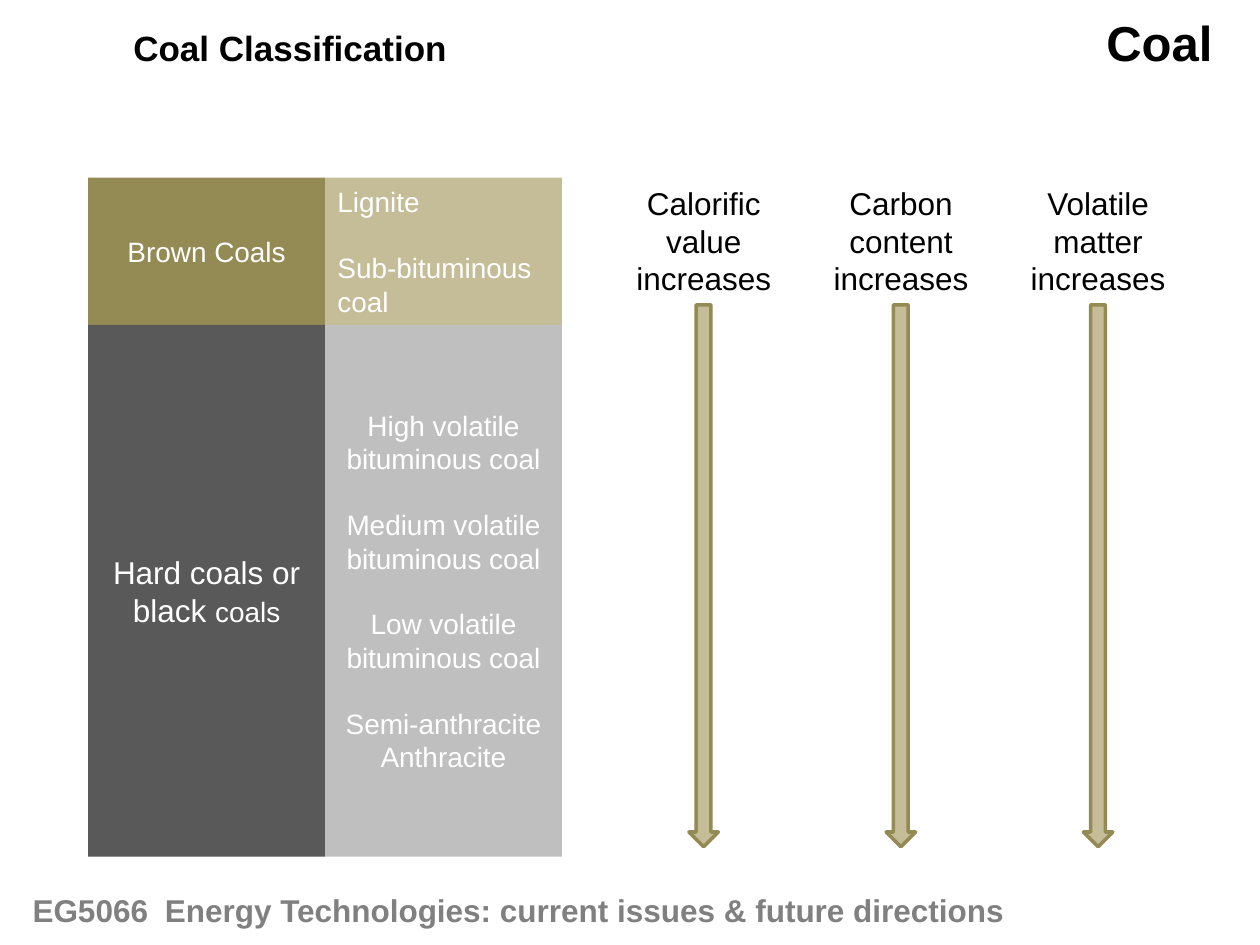
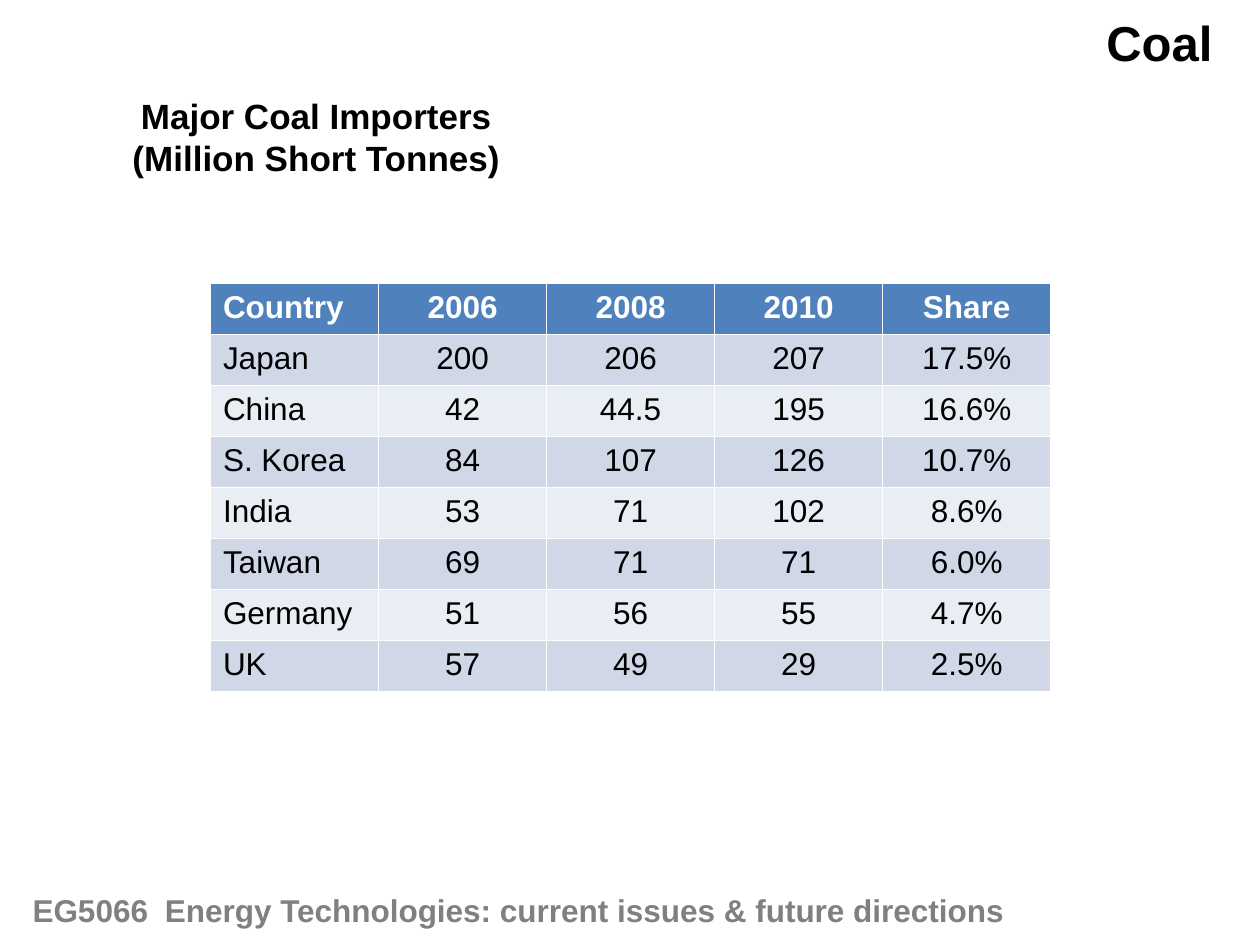
from dataclasses import dataclass

from lxml import etree
from pptx import Presentation
from pptx.dml.color import RGBColor
from pptx.enum.shapes import MSO_SHAPE
from pptx.enum.text import MSO_ANCHOR, PP_ALIGN
from pptx.oxml.ns import qn
from pptx.util import Inches, Pt

LEFT, CENTER, RIGHT = PP_ALIGN.LEFT, PP_ALIGN.CENTER, PP_ALIGN.RIGHT
TOP, MIDDLE = MSO_ANCHOR.TOP, MSO_ANCHOR.MIDDLE
RECTANGLE, DOWN_ARROW = MSO_SHAPE.RECTANGLE, MSO_SHAPE.DOWN_ARROW


@dataclass(frozen=True)
class Theme:
    font: str = "Arial"
    black: str = "000000"
    white: str = "FFFFFF"
    footer_gray: str = "808080"
    brown: str = "948A54"
    tan: str = "C4BD97"
    charcoal: str = "595959"
    silver: str = "BFBFBF"
    header_blue: str = "4F81BD"
    bands: tuple = ("D0D8E8", "E9EDF4")
    topic_size: int = 28
    title_size: int = 20
    body_size: int = 18
    grade_size: int = 16
    grade_gap: float = 18.4
    outline: int = 2


THEME = Theme()


@dataclass(frozen=True)
class Box:
    left: float
    top: float
    width: float
    height: float

    def share(self, left, top, width, height):
        return Box(self.left + self.width * left / 100,
                   self.top + self.height * top / 100,
                   self.width * width / 100,
                   self.height * height / 100)

    def emu(self):
        return [Inches(side) for side in (self.left, self.top, self.width, self.height)]


PAGE = Box(0, 0, 10, 7.5)

FOOTER = "EG5066\tEnergy Technologies: current issues & future directions"
TRENDS = ["Calorific value increases", "Carbon content increases", "Volatile matter increases"]
BROWN_GRADES = ["Lignite", "Sub-bituminous coal"]
HARD_GRADES = ["High volatile bituminous coal", "Medium volatile bituminous coal",
               "Low volatile bituminous coal", "Semi-anthracite\vAnthracite"]
IMPORTERS = [
    ("Country", "2006", "2008", "2010", "Share"),
    ("Japan", "200", "206", "207", "17.5%"),
    ("China", "42", "44.5", "195", "16.6%"),
    ("S. Korea", "84", "107", "126", "10.7%"),
    ("India", "53", "71", "102", "8.6%"),
    ("Taiwan", "69", "71", "71", "6.0%"),
    ("Germany", "51", "56", "55", "4.7%"),
    ("UK", "57", "49", "29", "2.5%"),
]


def style_paragraph(paragraph, size, color, align=LEFT, bold=False):
    paragraph.alignment = align
    font = paragraph.font
    font.name = THEME.font
    font.size = Pt(size)
    font.bold = bold
    font.color.rgb = RGBColor.from_string(color)


def write(frame, lines, size, color, align=LEFT, bold=False, anchor=TOP, gap=0):
    frame.word_wrap = True
    frame.vertical_anchor = anchor
    for index, line in enumerate(lines):
        paragraph = frame.add_paragraph() if index else frame.paragraphs[0]
        paragraph.text = line
        if index and gap:
            paragraph.space_before = Pt(gap)
        style_paragraph(paragraph, size, color, align, bold)


def add_text(shapes, box, lines, size, color=THEME.black, align=LEFT, bold=False):
    frame = shapes.add_textbox(*box.emu()).text_frame
    write(frame, lines, size, color, align, bold)
    return frame


def add_filled(shapes, kind, box, fill, line=None):
    shape = shapes.add_shape(kind, *box.emu())
    shape.shadow.inherit = False
    shape.fill.solid()
    shape.fill.fore_color.rgb = RGBColor.from_string(fill)
    if line:
        shape.line.color.rgb = RGBColor.from_string(line)
        shape.line.width = Pt(THEME.outline)
    else:
        shape.line.fill.background()
    return shape


def add_footer(shapes, box):
    frame = shapes.add_textbox(*box.emu()).text_frame
    properties = frame.paragraphs[0]._p.get_or_add_pPr()
    stops = etree.SubElement(properties, qn("a:tabLst"))
    etree.SubElement(stops, qn("a:tab"), pos=str(Inches(1.05)), algn="l")
    write(frame, [FOOTER], THEME.body_size, THEME.footer_gray, bold=True)


def add_coal_slide(presentation, title_lines, title_box, title_align):
    slide = presentation.slides.add_slide(presentation.slide_layouts[6])
    add_text(slide.shapes, title_box, title_lines, THEME.title_size, align=title_align, bold=True)
    add_text(slide.shapes, PAGE.share(85, 0.67, 12.2, 7.6), ["Coal"],
             THEME.topic_size, align=RIGHT, bold=True)
    add_footer(slide.shapes, PAGE.share(1.6, 93.6, 85.9, 5.33))
    return slide


def add_classification(shapes, box):
    group = shapes.add_group_shape().shapes
    brown_share = 21.7
    rows = [(0, brown_share, THEME.brown, THEME.tan, ["Brown Coals"], BROWN_GRADES, LEFT),
            (brown_share, 100 - brown_share, THEME.charcoal, THEME.silver,
             ["Hard coals or black "], HARD_GRADES, CENTER)]
    for top, height, family_fill, grade_fill, family, grades, grade_align in rows:
        cells = [(0, family_fill, family, CENTER), (50, grade_fill, grades, grade_align)]
        for left, fill, lines, align in cells:
            shape = add_filled(group, RECTANGLE, box.share(left, top, 50, height), fill)
            write(shape.text_frame, lines, THEME.grade_size, THEME.white, align,
                  anchor=MIDDLE, gap=THEME.grade_gap)
            if lines[0].startswith("Hard"):
                paragraph = shape.text_frame.paragraphs[0]
                paragraph.runs[0].font.size = Pt(THEME.body_size)
                paragraph.add_run().text = "coals"


def add_trends(shapes, box):
    label_width, label_height = 27.2, 19
    pitch = (100 - label_width) / (len(TRENDS) - 1)
    for index, trend in enumerate(TRENDS):
        group = shapes.add_group_shape().shapes
        column = box.share(index * pitch, 0, label_width, 100)
        frame = add_text(group, column.share(0, 0, 100, label_height), [trend],
                         THEME.body_size, align=CENTER)
        frame.margin_left = frame.margin_right = Inches(0.02)
        add_filled(group, DOWN_ARROW, column.share(40, label_height, 20, 100 - label_height),
                   THEME.tan, THEME.brown)


def add_importers(shapes, box):
    table = shapes.add_table(len(IMPORTERS), len(IMPORTERS[0]), *box.emu()).table
    for row, values in enumerate(IMPORTERS):
        header = row == 0
        fill = THEME.header_blue if header else THEME.bands[(row - 1) % 2]
        for column, value in enumerate(values):
            cell = table.cell(row, column)
            cell.fill.solid()
            cell.fill.fore_color.rgb = RGBColor.from_string(fill)
            cell.text = value
            style_paragraph(cell.text_frame.paragraphs[0], THEME.body_size,
                            THEME.white if header else THEME.black,
                            CENTER if column else LEFT, header)


def build_classification_slide(presentation):
    slide = add_coal_slide(presentation, ["Coal Classification"],
                           PAGE.share(9.6, 2.13, 30, 5.87), LEFT)
    add_classification(slide.shapes, PAGE.share(7, 18.8, 37.6, 71.87))
    add_trends(slide.shapes, PAGE.share(50, 18.8, 43, 70.8))


def build_importers_slide(presentation):
    slide = add_coal_slide(presentation, ["Major Coal Importers", "(Million Short Tonnes)"],
                           PAGE.share(8.4, 9.33, 33.4, 10.27), CENTER)
    add_importers(slide.shapes, PAGE.share(16.7, 30, 66.7, 43.2))


def main():
    presentation = Presentation()
    presentation.slide_width = Inches(PAGE.width)
    presentation.slide_height = Inches(PAGE.height)
    build_classification_slide(presentation)
    build_importers_slide(presentation)
    presentation.save("out.pptx")


if __name__ == "__main__":
    main()
